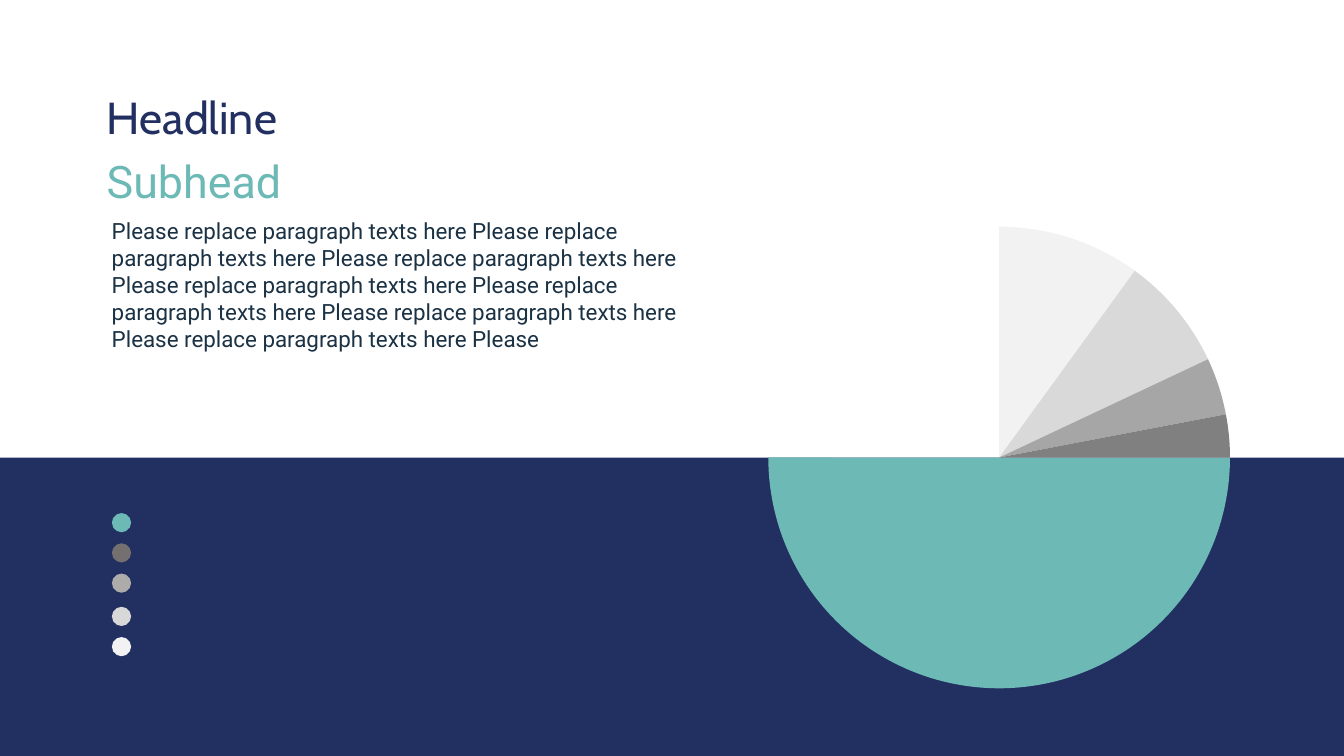
import pptx
import pptx.util
import pptx.chart.data
import pptx.dml.color
import pptx.enum.chart
import pptx.enum.shapes
import pptx.oxml

Inches = pptx.util.Inches
Pt = pptx.util.Pt


def color(code):
    return pptx.dml.color.RGBColor.from_string(code)


def add_form(slide, kind, box, code):
    form = slide.shapes.add_shape(kind, *map(Inches, box))
    form.shadow.inherit = False
    form.fill.solid()
    form.fill.fore_color.rgb = color(code)
    form.line.fill.background()


def add_text(slide, box, text, font, size, code):
    frame = slide.shapes.add_textbox(*map(Inches, box)).text_frame
    frame.word_wrap = True
    line = frame.paragraphs[0]
    line.text = text
    line.font.name = font
    line.font.size = Pt(size)
    line.font.color.rgb = color(code)
    return line


def add_copy(slide, box):
    left, top, width, height = box
    add_text(slide, (left, top, 3.12, 0.64), "Headline", "Cabin", 32, "222F61")
    add_text(slide, (left, top + 0.64, 4.58, 0.64), "Subhead", "Roboto", 32, "6CB9B6")
    body = "Please replace paragraph texts here " * 7 + "Please"
    line = add_text(slide, (left, top + 1.27, width, height - 1.27), body, "Roboto", 16, "1B3245")
    line._p.get_or_add_pPr().set("marL", str(Inches(0.05)))


def add_key(slide, box):
    left, top, size, gap = box
    codes = ["6CB9B6", "757070", "AEABAB", "D8D8D8", "F2F2F2"]
    for place, code in enumerate(codes):
        y = top + gap * place + (0.03 if place > 2 else 0)
        add_form(slide, pptx.enum.shapes.MSO_SHAPE.OVAL, (left, y, size, size), code)


def add_pie(slide, box):
    data = pptx.chart.data.CategoryChartData()
    data.categories = ["1", "2", "3", "4", "5", "6"]
    data.add_series("Series 1", (50, 25, 10, 8, 4, 3))
    kind = pptx.enum.chart.XL_CHART_TYPE.PIE
    chart = slide.shapes.add_chart(kind, *map(Inches, box), data).chart
    chart.has_title = False
    chart.has_legend = False
    chart.font.name = "Calibri"
    chart.font.size = Pt(10)
    chart.font.color.rgb = color("0E1A24")
    plot = chart.plots[0]
    plot.vary_by_categories = True
    codes = ["6CB9B6", None, "F2F2F2", "D9D9D9", "A6A6A6", "808080"]
    for place, code in enumerate(codes):
        form = plot.series[0].points[place].format
        form.line.fill.background()
        if code:
            form.fill.solid()
            form.fill.fore_color.rgb = color(code)
        else:
            form.fill.background()
    space = 'xmlns:c="http://schemas.openxmlformats.org/drawingml/2006/chart"'
    area = chart._chartSpace.chart.plotArea
    for old in area.xpath("c:layout") + area.xpath("c:pieChart/c:firstSliceAng"):
        old.getparent().remove(old)
    turn = pptx.oxml.parse_xml(f'<c:firstSliceAng {space} val="90"/>')
    area.xpath("c:pieChart")[0].append(turn)
    width, height = 4.58 / box[2], 4.58 / box[3]
    sizes = {"x": (1 - width) / 2, "y": (1 - height) / 2, "w": width, "h": height}
    parts = "".join(f'<c:{name} val="{size:.4f}"/>' for name, size in sizes.items())
    area.insert(0, pptx.oxml.parse_xml(
        f'<c:layout {space}><c:manualLayout><c:layoutTarget val="inner"/>'
        f'<c:xMode val="edge"/><c:yMode val="edge"/>{parts}</c:manualLayout></c:layout>'))


def main():
    deck = pptx.Presentation()
    deck.slide_width = Inches(13.33)
    deck.slide_height = Inches(7.5)
    slide = deck.slides.add_slide(deck.slide_layouts[6])
    add_form(slide, pptx.enum.shapes.MSO_SHAPE.RECTANGLE, (0, 4.54, 13.33, 2.96), "222F61")
    add_key(slide, (1.11, 5.09, 0.19, 0.3))
    add_pie(slide, (6.72, 2.11, 6.38, 4.86))
    add_copy(slide, (0.96, 0.84, 6.15, 2.73))
    deck.save("out.pptx")


if __name__ == "__main__":
    main()
